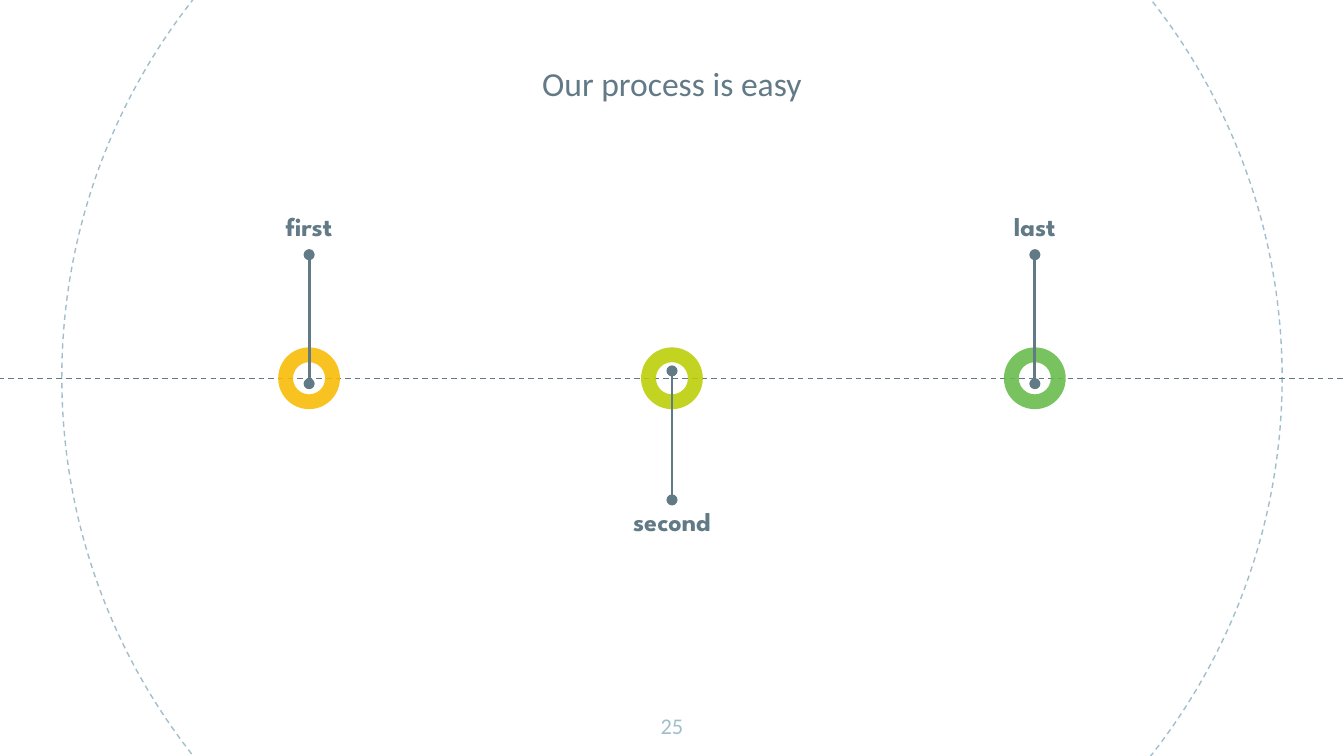
from pptx import Presentation
from pptx.dml.color import RGBColor
from pptx.enum.dml import MSO_LINE
from pptx.enum.shapes import MSO_CONNECTOR, MSO_SHAPE
from pptx.enum.text import MSO_ANCHOR, PP_ALIGN
from pptx.oxml.ns import qn
from pptx.util import Emu, Pt
from lxml.etree import SubElement

PX = 4572  # EMU per px, 200 px to the inch
W, H = 2000, 1125
AXIS_Y = 563
RING = 92
COLORS = {
    "slate": "617A86",
    "mist": "A1BECC",
    "yellow": "F8BB00",
    "lime": "BBCD00",
    "green": "65BB48",
}
# label, ring colour, pin start, pin end, label top
STEPS = [
    ("first", "yellow", 571, 379, 293),
    ("second", "lime", 552, 744, 732),
    ("last", "green", 571, 379, 293),
]


def px(*values):
    return [Emu(v * PX) for v in values]


def rgb(name):
    return RGBColor.from_string(COLORS[name])


def set_text(sp, text, size, font, color, bold=False, anchor=MSO_ANCHOR.TOP):
    tf = sp.text_frame
    tf.text = text
    tf.word_wrap = True
    tf.vertical_anchor = anchor
    tf.margin_left = tf.margin_right = tf.margin_top = tf.margin_bottom = px(20)[0]
    p = tf.paragraphs[0]
    p.alignment = PP_ALIGN.CENTER
    f = p.runs[0].font
    f.size, f.name, f.bold = Pt(size), font, bold
    f.color.rgb = rgb(color)


def add_line(s, x1, y1, x2, y2, width):
    line = s.shapes.add_connector(MSO_CONNECTOR.STRAIGHT, *px(x1, y1, x2, y2))
    line.line.color.rgb = rgb("slate")
    line.line.width = Pt(width)
    SubElement(line._element.spPr, qn("a:effectLst"))
    return line


def add_backdrop(s, left, top, size):
    # Large dashed circle and the time axis
    sp = s.shapes.add_shape(MSO_SHAPE.OVAL, *px(left, top, size, size))
    sp.shadow.inherit = False
    sp.fill.background()
    sp.line.color.rgb = rgb("mist")
    sp.line.width = Pt(0.75)
    sp.line.dash_style = MSO_LINE.DASH
    axis = add_line(s, -2, AXIS_Y, W + 2, AXIS_Y, 0.75)
    axis.line.dash_style = MSO_LINE.DASH


def add_title(s, left, top, width, height):
    sp = s.shapes.title
    sp.left, sp.top, sp.width, sp.height = px(left, top, width, height)
    set_text(sp, "Our process is easy", 18, "Calibri", "slate", anchor=MSO_ANCHOR.BOTTOM)


def add_step(s, x, label, color, pin_start, pin_end, label_top):
    # Ring on the axis
    ring = s.shapes.add_shape(
        MSO_SHAPE.DONUT, *px(x - RING // 2, AXIS_Y - RING // 2, RING, RING))
    ring.adjustments[0] = 0.24
    ring.shadow.inherit = False
    ring.fill.solid()
    ring.fill.fore_color.rgb = rgb(color)
    ring.line.fill.background()
    clr = ring._element.spPr.find(qn("a:solidFill"))[0]
    SubElement(clr, qn("a:alpha"), val="87000")

    # Pin with round ends
    pin = add_line(s, x, pin_start, x, pin_end, 1.5)
    ln = pin.line._get_or_add_ln()
    for end in ("a:headEnd", "a:tailEnd"):
        SubElement(ln, qn(end), type="oval")

    # Label
    tb = s.shapes.add_textbox(*px(x - 136, label_top, 272, 90))
    set_text(tb, label, 14, "League Spartan", "slate", bold=True)


def add_page_number(s, left, top, width, height):
    tb = s.shapes.add_textbox(*px(left, top, width, height))
    set_text(tb, "25", 12, "Calibri", "mist")


def main():
    prs = Presentation()
    prs.slide_width, prs.slide_height = px(W, H)
    s = prs.slides.add_slide(prs.slide_layouts[5])
    add_backdrop(s, 92, -346, 1816)
    add_title(s, 423, 34, 1154, 140)
    for i, step in enumerate(STEPS):
        add_step(s, 460 + 540 * i, *step)
    add_page_number(s, 949, 1040, 102, 86)
    prs.save("out.pptx")


if __name__ == "__main__":
    main()
